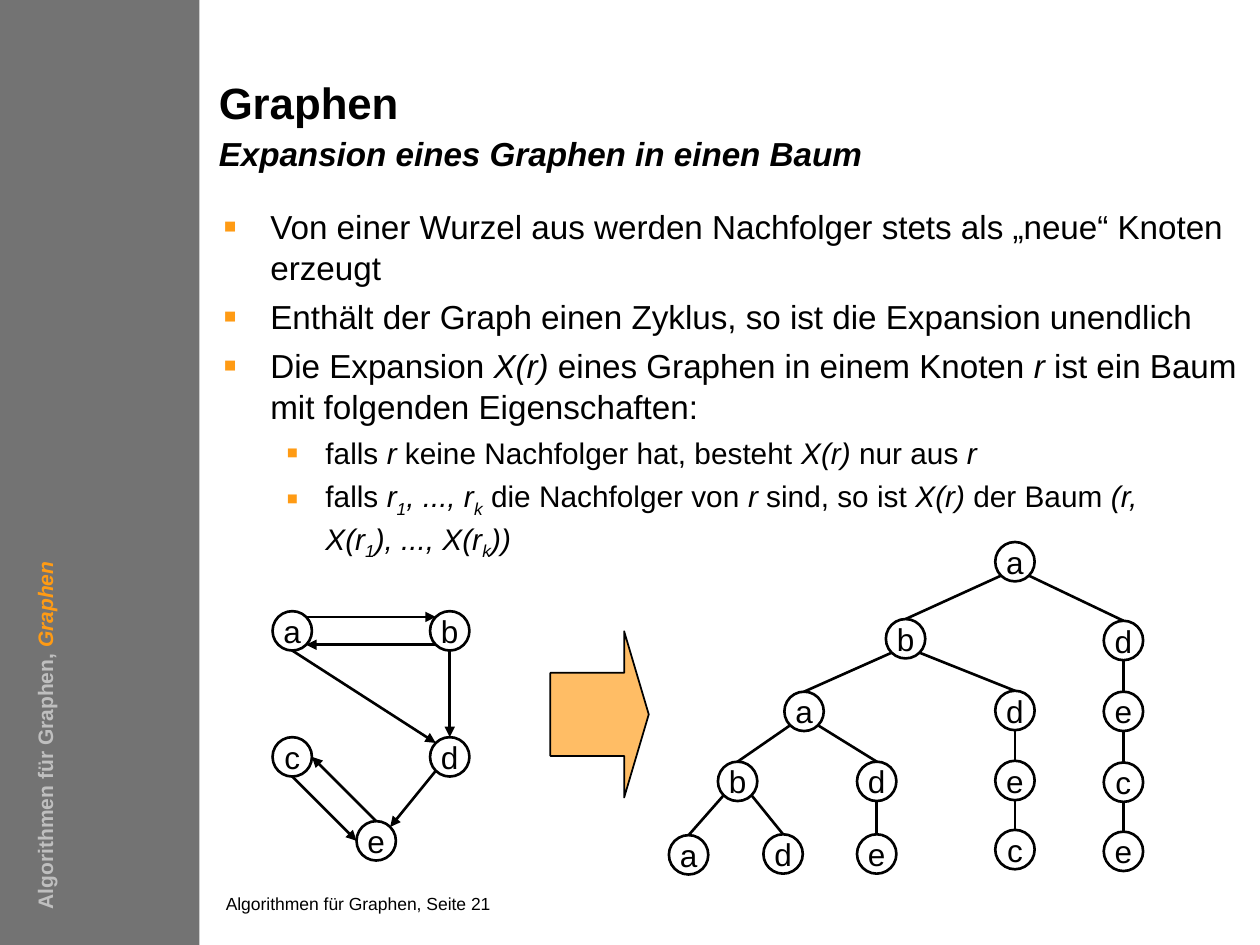
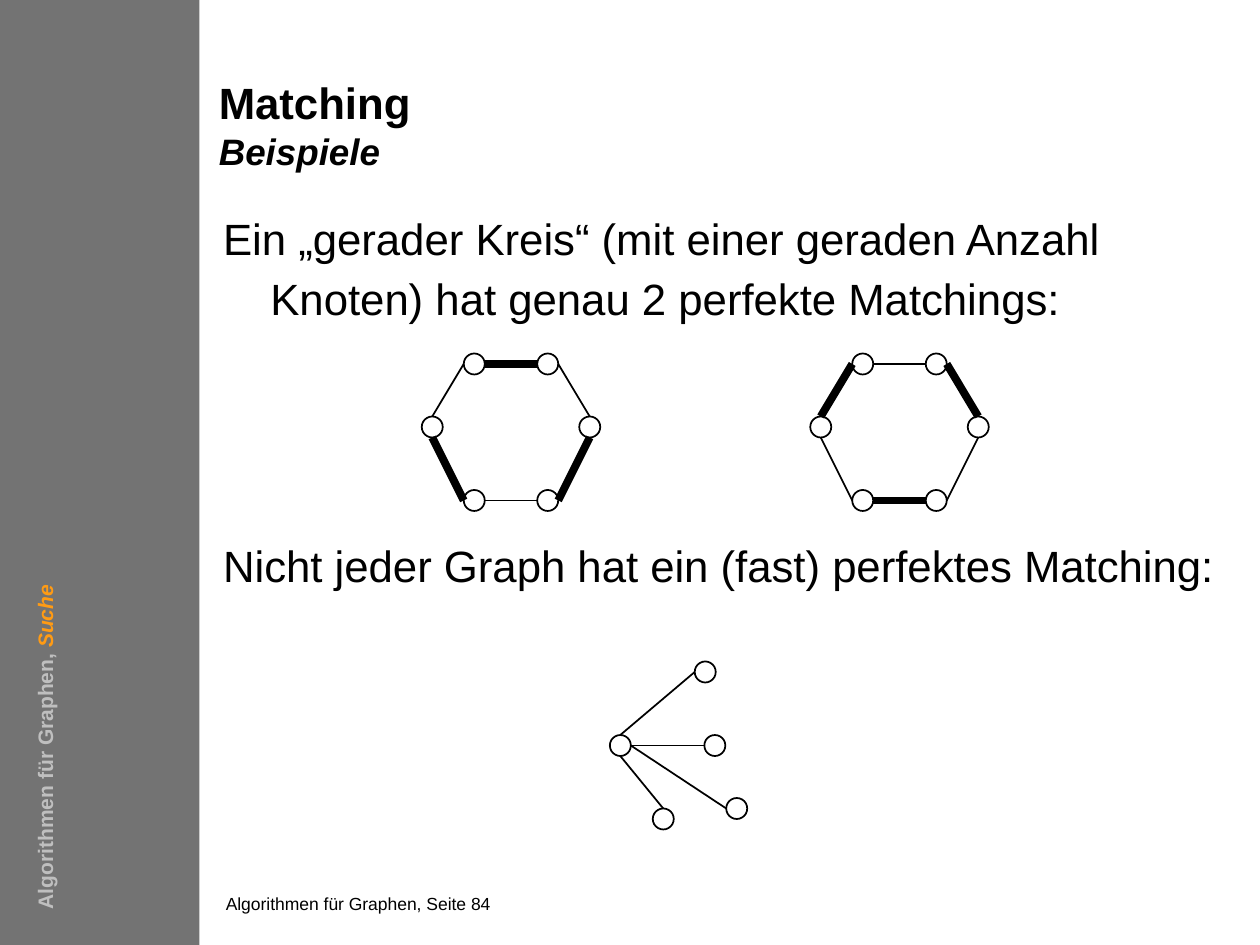
from collections import namedtuple
from math import sqrt

from lxml.etree import SubElement
from pptx import Presentation
from pptx.dml.color import RGBColor
from pptx.enum.shapes import MSO_CONNECTOR, MSO_SHAPE
from pptx.enum.text import MSO_ANCHOR, PP_ALIGN
from pptx.oxml.ns import qn
from pptx.util import Pt

COLORS = {
    "text": "000000",
    "band": "737373",
    "band_text": "BFBFBF",
    "accent": "FF9B14",
    "arrow": "FFBD65",
}
FONT = "Arial"
COURSE = "Algorithmen für Graphen, "
DIAGONAL = sqrt(0.5)
SITES = {
    "N": (0, -1), "S": (0, 1), "W": (-1, 0), "E": (1, 0),
    "NW": (-DIAGONAL, -DIAGONAL), "NE": (DIAGONAL, -DIAGONAL),
    "SW": (-DIAGONAL, DIAGONAL), "SE": (DIAGONAL, DIAGONAL),
}
Node = namedtuple("Node", "x y radius")
LEVELS = [
    {"size": 19, "margin": 27, "indent": -27},
    {"size": 17, "margin": 58.5, "indent": -22.5},
]

EXPANSION_POINTS = [
    (0, "Von einer Wurzel aus werden Nachfolger stets als „neue“ Knoten erzeugt"),
    (0, "Enthält der Graph einen Zyklus, so ist die Expansion unendlich"),
    (0, "Die Expansion *X(r)* eines Graphen in einem Knoten *r* ist ein Baum "
        "mit folgenden Eigenschaften:"),
    (1, "falls *r* keine Nachfolger hat, besteht *X(r)* nur aus *r*"),
    (1, "falls *r_1_, ..., r_k_* die Nachfolger von *r* sind, so ist *X(r)* "
        "der Baum *(r, X(r_1_), ..., X(r_k_))*"),
]
GRAPH_NODES = {"a": (167, 360.5), "b": (257, 360.5), "c": (167, 432.5),
               "d": (257, 432.5), "e": (215, 480.5)}
GRAPH_EDGES = [
    ("a", "NE", "b", "NW"), ("b", "SW", "a", "SE"), ("a", "S", "d", "NW"),
    ("b", "S", "d", "N"), ("d", "SW", "e", "NE"), ("c", "S", "e", "W"),
    ("e", "N", "c", "E"),
]
TREE = ("a", 580, 321, [
    ("b", 517.5, 365, [
        ("a", 459.5, 406.5, [
            ("b", 421.5, 446.5, [("a", 393.5, 488.5, []), ("d", 447.5, 488, [])]),
            ("d", 501, 446.5, [("e", 501, 488, [])]),
        ]),
        ("d", 580, 406, [("e", 580, 446, [("c", 580, 485.5, [])])]),
    ]),
    ("d", 642, 366, [("e", 642, 406.5, [("c", 642, 447, [("e", 642, 486.5, [])])])]),
])
RING_NODES = [(0, 36), (24, 0), (66, 0), (90, 36), (66, 78), (24, 78)]
RING_SITES = [("N", "W"), ("E", "W"), ("E", "N"), ("S", "E"), ("W", "E"), ("W", "S")]
STAR_LEAVES = [(403, 384, "N", "W"), (408.5, 426, "E", "W"),
               (421, 462, "E", "W"), (379, 468, "S", "N")]


def rgb(name):
    return RGBColor.from_string(COLORS[name])


def style(r, size, color="text", bold=None, italic=None):
    r.font.name = FONT
    r.font.size = Pt(size)
    r.font.color.rgb = rgb(color)
    r.font.bold = bold
    r.font.italic = italic


def add_text(s, left, top, width, height, inset=True):
    sp = s.shapes.add_textbox(Pt(left), Pt(top), Pt(width), Pt(height))
    tf = sp.text_frame
    tf.word_wrap = True
    if not inset:
        tf.margin_left = tf.margin_right = tf.margin_top = tf.margin_bottom = 0
    return sp


def add_shape(s, kind, left, top, width, height, fill=None, line=None):
    sp = s.shapes.add_shape(kind, Pt(left), Pt(top), Pt(width), Pt(height))
    sp.shadow.inherit = False
    if fill:
        sp.fill.solid()
        sp.fill.fore_color.rgb = rgb(fill)
    else:
        sp.fill.background()
    if line:
        sp.line.color.rgb = rgb("text")
        sp.line.width = Pt(line)
    else:
        sp.line.fill.background()
    return sp


def add_frame(prs, title, subtitle, subtitle_size, chapter, page):
    s = prs.slides.add_slide(prs.slide_layouts[6])
    add_shape(s, MSO_SHAPE.RECTANGLE, 0, 0, 114, 540, fill="band")

    p = add_text(s, 129, 510, 350, 15, inset=False).text_frame.paragraphs[0]
    p.text = f"{COURSE}Seite {page}"
    style(p.runs[0], 10)

    p = add_text(s, 125, 48, 428, 54, inset=False).text_frame.paragraphs[0]
    p.text = f"{title}\v{subtitle}"
    p.line_spacing = Pt(25.4)
    style(p.runs[0], 25, bold=True)
    style(p.runs[1], subtitle_size, bold=True, italic=True)

    sp = add_text(s, -142.5, 347.75, 336.25, 21.5)
    sp.rotation = 270
    p = sp.text_frame.paragraphs[0]
    p.text = COURSE
    style(p.runs[0], 12, "band_text", bold=True)
    r = p.add_run()
    r.text = chapter
    style(r, 12, "accent", bold=True, italic=True)
    return s


def set_indent(p, margin, indent):
    pPr = p._p.get_or_add_pPr()
    pPr.set("marL", str(Pt(margin)))
    pPr.set("indent", str(Pt(indent)))
    return pPr


def add_bullet(pPr):
    color = SubElement(pPr, qn("a:buClr"))
    SubElement(color, qn("a:srgbClr")).set("val", COLORS["accent"])
    SubElement(pPr, qn("a:buSzPct")).set("val", "120000")
    SubElement(pPr, qn("a:buFont")).set("typeface", FONT)
    SubElement(pPr, qn("a:buChar")).set("char", "▪")


def add_marked_runs(p, text, size):
    for i, part in enumerate(text.split("*")):
        for j, piece in enumerate(part.split("_")):
            if piece:
                r = p.add_run()
                r.text = piece
                style(r, size, italic=i % 2 == 1)
                if j % 2:
                    r._r.get_or_add_rPr().set("baseline", "-25000")


def add_bullets(s, points):
    tf = add_text(s, 127.5, 116.5, 581, 215, inset=False).text_frame
    for i, (level, text) in enumerate(points):
        p = tf.add_paragraph() if i else tf.paragraphs[0]
        look = LEVELS[level]
        p.level = level
        add_bullet(set_indent(p, look["margin"], look["indent"]))
        p.line_spacing = 1.05
        if i:
            p.space_before = Pt(look["size"] * 0.2)
        add_marked_runs(p, text, look["size"])


def add_statements(s, statements, gap):
    tf = add_text(s, 127.5, 116.5, 581, 386, inset=False).text_frame
    for i, text in enumerate(statements):
        p = tf.add_paragraph() if i else tf.paragraphs[0]
        p.text = text
        set_indent(p, 27, -27)
        p.line_spacing = 1.15
        if i:
            p.space_before = Pt(gap)
        style(p.runs[0], 25)


def add_node(s, x, y, radius, line, label=None):
    sp = add_shape(s, MSO_SHAPE.OVAL, x - radius, y - radius,
                   2 * radius, 2 * radius, line=line)
    if label:
        tf = sp.text_frame
        tf.word_wrap = False
        tf.vertical_anchor = MSO_ANCHOR.MIDDLE
        p = tf.paragraphs[0]
        p.text = label
        p.alignment = PP_ALIGN.CENTER
        style(p.runs[0], 18)
    return Node(x, y, radius)


def site(node, direction):
    dx, dy = SITES[direction]
    return Pt(node.x + dx * node.radius), Pt(node.y + dy * node.radius)


def add_edge(s, start, start_site, end, end_site, width, arrow=False):
    cn = s.shapes.add_connector(MSO_CONNECTOR.STRAIGHT,
                                *site(start, start_site), *site(end, end_site))
    cn.line.color.rgb = rgb("text")
    cn.line.width = Pt(width)
    if arrow:
        SubElement(cn.line._get_or_add_ln(), qn("a:tailEnd")).set("type", "triangle")
    SubElement(cn._element.spPr, qn("a:effectLst"))


def add_letter_node(s, label, x, y):
    return add_node(s, x, y, 11.25, 1.5, label)


def add_graph(s):
    nodes = {k: add_letter_node(s, k, *at) for k, at in GRAPH_NODES.items()}
    for start, start_site, end, end_site in GRAPH_EDGES:
        add_edge(s, nodes[start], start_site, nodes[end], end_site, 1.5, arrow=True)


def add_tree(s, label, x, y, children):
    parent = add_letter_node(s, label, x, y)
    exits = ["SW", "SE"] if len(children) == 2 else ["S"]
    for exit_site, child in zip(exits, children):
        add_edge(s, parent, exit_site, add_tree(s, *child), "N", 1.5)
    return parent


def add_ring(s, left, top, first_matched):
    nodes = [add_node(s, left + x, top + y, 6, 1) for x, y in RING_NODES]
    for i, (start_site, end_site) in enumerate(RING_SITES):
        width = 4.5 if i % 2 == first_matched else 1
        add_edge(s, nodes[i], start_site, nodes[(i + 1) % len(nodes)], end_site, width)


def add_star(s):
    hub = add_node(s, 354.5, 426, 6, 1)
    for x, y, hub_site, leaf_site in STAR_LEAVES:
        add_edge(s, hub, hub_site, add_node(s, x, y, 6, 1), leaf_site, 1)


def build_expansion(prs):
    s = add_frame(prs, "Graphen", "Expansion eines Graphen in einen Baum", 19,
                  "Graphen", 21)
    add_bullets(s, EXPANSION_POINTS)
    add_graph(s)
    add_tree(s, *TREE)
    sp = add_shape(s, MSO_SHAPE.RIGHT_ARROW, 314.5, 360.75, 56.25, 95,
                   fill="arrow", line=1)
    sp.adjustments[0] = 0.5
    sp.adjustments[1] = 0.25


def build_matching(prs):
    s = add_frame(prs, "Matching", "Beispiele", 21, "Suche", 84)
    add_statements(s, [
        "Ein „gerader Kreis“ (mit einer geraden Anzahl Knoten) hat genau "
        "2 perfekte Matchings:",
        "Nicht jeder Graph hat ein (fast) perfektes Matching:",
    ], gap=118)
    add_ring(s, 247, 208, first_matched=1)
    add_ring(s, 469, 208, first_matched=0)
    add_star(s)


def main():
    prs = Presentation()
    prs.slide_width, prs.slide_height = Pt(720), Pt(540)
    build_expansion(prs)
    build_matching(prs)
    prs.save("out.pptx")


if __name__ == "__main__":
    main()
